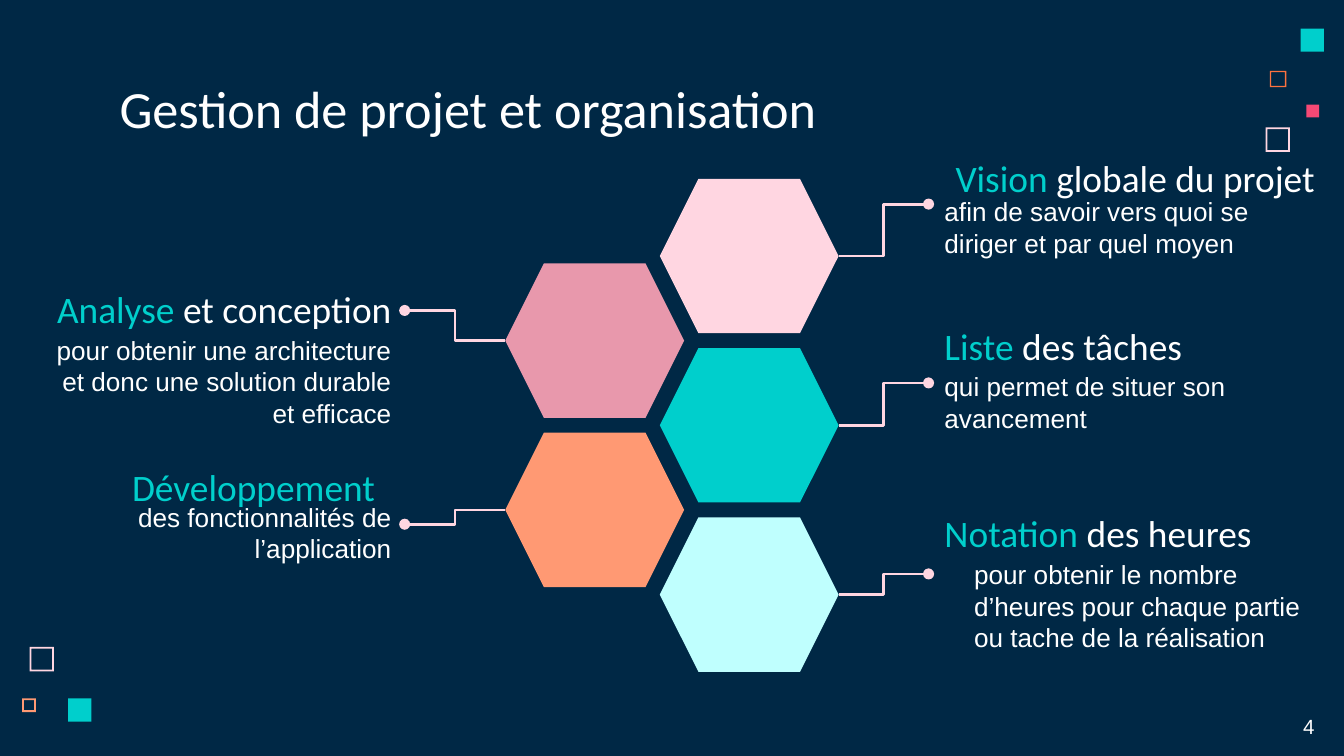
from lxml import etree
from pptx import Presentation
from pptx import util as u
from pptx.dml.color import RGBColor
from pptx.enum import shapes, text
from pptx.oxml.ns import qn

NAVY = RGBColor(0x00, 0x28, 0x45)
WHITE = RGBColor(0xFF, 0xFF, 0xFF)
TEAL = RGBColor(0x00, 0xCF, 0xCC)
PALE_PINK = RGBColor(0xFF, 0xD6, 0xE1)
ROSE = RGBColor(0xE8, 0x98, 0xAC)
PEACH = RGBColor(0xFF, 0x99, 0x73)
ORANGE = RGBColor(0xFC, 0x72, 0x3F)
RED = RGBColor(0xF6, 0x49, 0x75)
ICE = RGBColor(0xBF, 0xFF, 0xFE)

LEFT, CENTER, RIGHT = text.PP_ALIGN.LEFT, text.PP_ALIGN.CENTER, text.PP_ALIGN.RIGHT
TOP, MIDDLE, BOTTOM = text.MSO_ANCHOR.TOP, text.MSO_ANCHOR.MIDDLE, text.MSO_ANCHOR.BOTTOM

# Content, top to bottom; boxes are (left, top, width, height) in cm
TITLE = "Gestion de projet et organisation"
TOPICS = [
    dict(color=PALE_PINK, dot_y=3.86, key="Vision", rest=" globale du projet",
         head=(17.53, 2.62, 7.85, 1.42), head_align=CENTER, anchor=BOTTOM,
         detail="afin de savoir vers quoi se diriger et par quel moyen",
         body=(17.6, 3.45, 7.32, 1.78)),
    dict(color=ROSE, dot_y=5.87, key="Analyse", rest=" et conception",
         head=(0.23, 5.23, 7.42, 1.27), head_align=RIGHT, anchor=BOTTOM,
         detail="pour obtenir une architecture et donc une solution durable et efficace",
         body=(0.56, 6.07, 7.09, 1.35)),
    dict(color=TEAL, dot_y=7.24, key="Liste", rest=" des tâches",
         head=(17.6, 6.12, 7.6, 0.84), head_align=LEFT, anchor=MIDDLE,
         detail="qui permet de situer son avancement",
         body=(17.6, 6.76, 7.37, 1.88)),
    dict(color=PEACH, dot_y=9.91, key="Développement", rest="",
         head=(0, 8.71, 7.34, 1.17), head_align=RIGHT, anchor=BOTTOM,
         detail="des fonctionnalités de l’application",
         body=(0.56, 9.22, 7.09, 1.35)),
    dict(color=ICE, dot_y=10.85, key="Notation", rest=" des heures",
         head=(17.6, 9.47, 7.65, 1.27), head_align=LEFT, anchor=BOTTOM,
         detail="pour obtenir le nombre d’heures pour chaque partie ou tache de la réalisation",
         body=(18.16, 10.31, 7.09, 1.35)),
]

# Corner squares: left, top, side, colour, rim (0 = solid)
SQUARES = [
    (23.92, 2.41, 0.46, PALE_PINK, 0.07), (24.0, 1.34, 0.31, ORANGE, 0.08),
    (24.58, 0.54, 0.44, TEAL, 0), (24.69, 1.98, 0.24, RED, 0),
    (0.56, 12.23, 0.46, PALE_PINK, 0.07), (0.42, 13.2, 0.26, PEACH, 0.13),
    (1.29, 13.2, 0.44, TEAL, 0),
]

# Honeycomb: two columns, each hexagon one step lower than the last
HEX_W, HEX_H = 3.38, 2.92
HEX_TOP, HEX_STEP = 3.38, 1.6
RIGHT_COL, LEFT_COL = 12.47, 9.55
RIGHT_DOT, LEFT_DOT = 17.55, 7.65

prs = Presentation()
prs.slide_width, prs.slide_height = u.Cm(25.4), u.Cm(14.29)
s = prs.slides.add_slide(prs.slide_layouts[6])
s.background.fill.solid()
s.background.fill.fore_color.rgb = NAVY


def add_filled(kind, box, color):
    sp = s.shapes.add_shape(kind, *map(u.Cm, box))
    sp.shadow.inherit = False
    sp.fill.solid()
    sp.fill.fore_color.rgb = color
    sp.line.fill.background()
    return sp


def add_text(box, runs, size, font, align=LEFT, anchor=TOP, inset=0.25):
    tf = s.shapes.add_textbox(*map(u.Cm, box)).text_frame
    tf.word_wrap = True
    tf.vertical_anchor = anchor
    tf.margin_left = tf.margin_right = u.Cm(0.25)
    tf.margin_top = tf.margin_bottom = u.Cm(inset)
    p = tf.paragraphs[0]
    p.alignment = align
    p.font.size, p.font.name = u.Pt(size), font
    for words, color in runs:
        r = p.add_run()
        r.text = words
        r.font.color.rgb = color


def add_elbow(x1, y1, x2, y2):
    line = s.shapes.add_connector(shapes.MSO_CONNECTOR.ELBOW,
                                  *map(u.Cm, (x1, y1, x2, y2)))
    line.line.color.rgb = PALE_PINK
    line.line.width = u.Pt(1.5)
    etree.SubElement(line.line._get_or_add_ln(), qn("a:tailEnd"), type="oval")
    etree.SubElement(line._element.spPr, qn("a:effectLst"))


# Corner decoration
for x, y, side, color, rim in SQUARES:
    kind = shapes.MSO_SHAPE.FRAME if rim else shapes.MSO_SHAPE.RECTANGLE
    sp = add_filled(kind, (x, y, side, side), color)
    if rim:
        sp.adjustments[0] = rim

# Title
add_text((2.01, 1.19, 21.41, 1.6), [(TITLE, WHITE)], 28, "Calibri")

# Hexagons, connectors and captions
for i, topic in enumerate(TOPICS):
    on_right = i % 2 == 0
    x, y = RIGHT_COL if on_right else LEFT_COL, HEX_TOP + i * HEX_STEP
    add_filled(shapes.MSO_SHAPE.HEXAGON, (x, y, HEX_W, HEX_H), topic["color"])
    add_elbow(x + HEX_W if on_right else x, y + HEX_H / 2,
              RIGHT_DOT if on_right else LEFT_DOT, topic["dot_y"])
    runs = [(topic["key"], TEAL)]
    if topic["rest"]:
        runs.append((topic["rest"], WHITE))
    add_text(topic["head"], runs, 20, "Calibri", topic["head_align"], topic["anchor"])
    add_text(topic["body"], [(topic["detail"], WHITE)], 14, "Arial",
             LEFT if on_right else RIGHT)

# Page number
add_text((24.38, 13.36, 1.02, 0.74), [("4", WHITE)], 11, "Arial", inset=0.13)

prs.save("out.pptx")
